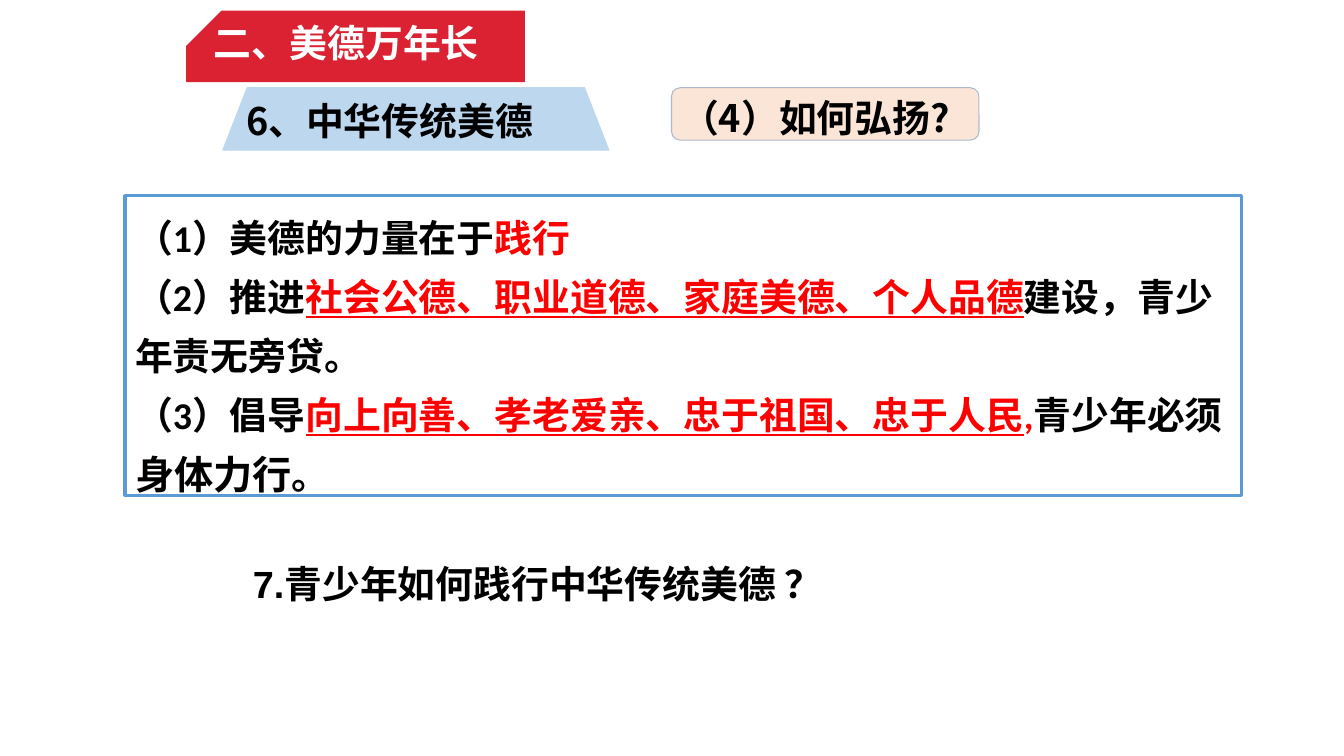
"""Builds a lesson slide on carrying forward traditional Chinese virtues."""
from lxml import etree
from pptx import Presentation
from pptx.dml.color import RGBColor
from pptx.enum import shapes, text
from pptx.oxml import ns
from pptx.util import Inches, Pt

COLORS = {"banner": "DB2232", "topic": "BDD7EE", "question": "FBE5D6", "question_edge": "ADB9CA",
          "frame": "5B9BD5", "white": "FFFFFF", "black": "000000", "key": "FF0000"}
CJK = "Noto Sans CJK SC"
SIZE = 27
TITLE = "二、美德万年长"
TOPIC = "6、中华传统美德"
QUESTION = "（4）如何弘扬?"
NEXT_QUESTION = "7.青少年如何践行中华传统美德 ？"
PLAIN, KEY, LINED = ("black", False), ("key", False), ("key", True)
POINTS = [
    [("（1）美德的力量在于", PLAIN, SIZE), ("践行", KEY, SIZE)],
    [("（2）推进", PLAIN, SIZE), ("社会公德、职业道德、家庭美德、个人品德", LINED, SIZE),
     ("建设，青少年责无旁贷。", PLAIN, SIZE)],
    [("（3）倡导", PLAIN, SIZE), ("向上向善、孝老爱亲、忠于祖国、忠于人民", LINED, SIZE),
     (",", KEY, SIZE), ("青少年必须", PLAIN, SIZE), ("身体力行", PLAIN, 28), ("。", PLAIN, SIZE)],
]
SMALL_INSETS = (0.07, 0.04)
WIDE_INSETS = (0.1, 0.05)


def rgb(name):
    return RGBColor.from_string(COLORS[name])


def style_run(run, color, font, size=SIZE, underline=False):
    run.font.size, run.font.bold = Pt(size), True
    run.font.color.rgb = rgb(color)
    run.font.name = font
    if underline:
        run.font.underline = True
    etree.SubElement(run.font._element, ns.qn("a:ea"), typeface=CJK)


def place(shape, left, top, width, height):
    shape.left, shape.top = Inches(left), Inches(top)
    shape.width, shape.height = Inches(width), Inches(height)


def set_frame(frame, insets, anchor, wrap=True):
    frame.margin_left = frame.margin_right = Inches(insets[0])
    frame.margin_top = frame.margin_bottom = Inches(insets[1])
    frame.vertical_anchor = anchor
    frame.word_wrap = wrap


def write(shape, content, color="black", font=CJK, align=text.PP_ALIGN.LEFT):
    shape.text_frame.text = content
    paragraph = shape.text_frame.paragraphs[0]
    paragraph.alignment = align
    style_run(paragraph.runs[0], color, font)
    return paragraph


def add_panel(slide, kind, box, fill, edge):
    shape = slide.shapes.add_shape(kind, *map(Inches, box))
    shape.shadow.inherit = False
    shape.fill.solid()
    shape.fill.fore_color.rgb = rgb(fill)
    shape.line.color.rgb = rgb(edge)
    shape.line.width = Pt(0.75)
    return shape


presentation = Presentation()
presentation.slide_width, presentation.slide_height = Inches(13.33), Inches(7.5)
slide = presentation.slides.add_slide(presentation.slide_layouts[1])
title, body = slide.placeholders

banner = add_panel(slide, shapes.MSO_SHAPE.SNIP_1_RECTANGLE, (1.85, 0.11, 3.35, 0.7), "banner", "banner")
banner.adjustments[0] = 0.5
banner.rotation = 180
banner._element.spPr.find(ns.qn("a:xfrm")).set("flipV", "1")
title._element.addprevious(banner._element)

place(title, 1.85, 0.11, 3.17, 0.7)
set_frame(title.text_frame, SMALL_INSETS, text.MSO_ANCHOR.MIDDLE)
write(title, TITLE, "white", align=text.PP_ALIGN.CENTER).line_spacing = 0.8

topic = add_panel(slide, shapes.MSO_SHAPE.TRAPEZOID, (2.21, 0.87, 3.83, 0.62), "topic", "topic")
topic.adjustments[0] = 0.39
set_frame(topic.text_frame, SMALL_INSETS, text.MSO_ANCHOR.MIDDLE)
write(topic, TOPIC)

question = add_panel(slide, shapes.MSO_SHAPE.ROUNDED_RECTANGLE, (6.66, 0.87, 3.05, 0.52),
                     "question", "question_edge")
set_frame(question.text_frame, SMALL_INSETS, text.MSO_ANCHOR.TOP, wrap=False)
write(question, QUESTION)

place(body, 1.24, 1.94, 11.07, 3.07)
body.line.color.rgb = rgb("frame")
body.line.width = Pt(2.25)
set_frame(body.text_frame, WIDE_INSETS, text.MSO_ANCHOR.TOP)
body.text_frame.auto_size = text.MSO_AUTO_SIZE.SHAPE_TO_FIT_TEXT
body.text_frame.text = "\n".join("" for point in POINTS)
for paragraph, point in zip(body.text_frame.paragraphs, POINTS):
    paragraph.line_spacing = 1.3
    paragraph.space_before = Pt(0)
    properties = paragraph._element.get_or_add_pPr()
    properties.set("marL", "0")
    properties.set("indent", "0")
    etree.SubElement(properties, ns.qn("a:buNone"))
    for content, (color, underline), size in point:
        run = paragraph.add_run()
        run.text = content
        style_run(run, color, "Calibri", size, underline)

next_question = slide.shapes.add_textbox(*map(Inches, (2.41, 5.51, 6.45, 0.55)))
set_frame(next_question.text_frame, WIDE_INSETS, text.MSO_ANCHOR.TOP)
next_question.text_frame.auto_size = text.MSO_AUTO_SIZE.SHAPE_TO_FIT_TEXT
write(next_question, NEXT_QUESTION, font="Arial")

presentation.save("out.pptx")
